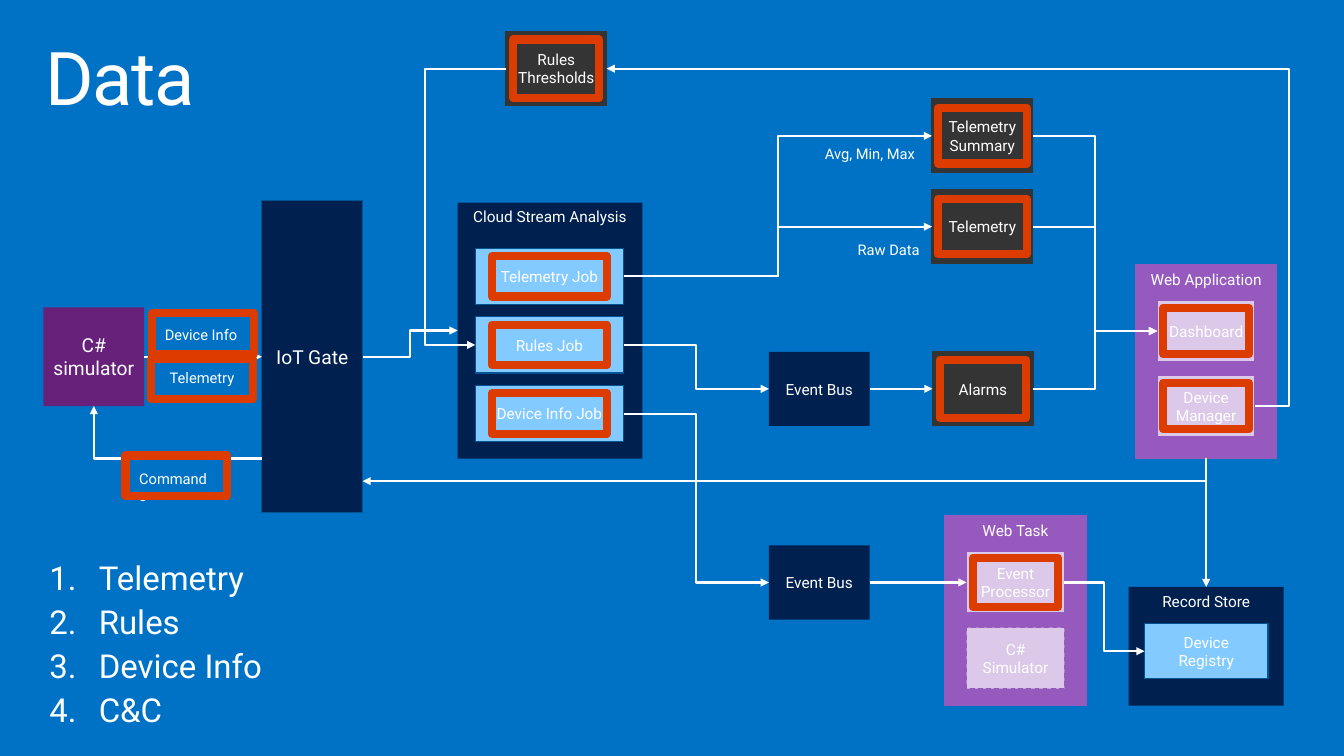
import pptx
import pptx.dml.color
import pptx.enum.dml
import pptx.enum.shapes
import pptx.enum.text
import pptx.oxml
import pptx.oxml.ns
import pptx.util
from lxml import etree

Pt = pptx.util.Pt
qn = pptx.oxml.ns.qn
ANCHOR = pptx.enum.text.MSO_ANCHOR
ALIGN = pptx.enum.text.PP_ALIGN
RECTANGLE = pptx.enum.shapes.MSO_SHAPE.RECTANGLE
CONNECTOR = pptx.enum.shapes.MSO_CONNECTOR

FONT = "Roboto"
COLORS = {
    "background": "0072C6", "white": "FFFFFF", "navy": "002050", "edge": "005492",
    "plum": "68217A", "sky": "82CAFF", "charcoal": "343434", "purple": "9659BE",
    "lilac": "DCC8E9", "highlight": "DC3C00",
}
TITLE = "Data"
TOPICS = ["Telemetry", "Rules", "Device Info", "C&C"]

MIDDLE, TOP_ANCHOR = ANCHOR.MIDDLE, ANCHOR.TOP
STYLES = {
    "device": ("plum", None, MIDDLE, 14, 4),
    "gateway": ("navy", "edge", MIDDLE, 14, 4),
    "service": ("navy", None, TOP_ANCHOR, 11.2, 8),
    "queue": ("navy", None, MIDDLE, 11.2, 8),
    "job": ("sky", "edge", MIDDLE, 11.2, 8),
    "storage": ("charcoal", "charcoal", MIDDLE, 11.2, 8),
    "app": ("purple", "purple", TOP_ANCHOR, 11.2, 8),
    "module": ("lilac", "purple", MIDDLE, 11.2, 8),
    "optional": ("lilac", "purple", MIDDLE, 11.2, 8),
}
JOB_LEFT, JOB_TOP, JOB_STEP = 346.3, 180.8, 50
JOBS = [("telemetry job", "Telemetry Job"), ("rules job", "Rules Job"),
        ("info job", "Device Info Job")]
BOXES = {
    "simulator": ("C# simulator", "device", 31.7, 223.9, 73.4, 72),
    "iot gate": ("IoT Gate", "gateway", 190.8, 146.2, 73.4, 227.4),
    "analysis": ("Cloud Stream Analysis", "service", 333.4, 147.6, 134.6, 186.5),
    **{key: (text, "job", JOB_LEFT, JOB_TOP + JOB_STEP * row, 108, 41)
       for row, (key, text) in enumerate(JOBS)},
    "alarm bus": ("Event Bus", "queue", 560.2, 256.3, 73.4, 54),
    "info bus": ("Event Bus", "queue", 560.2, 397.4, 73.4, 54),
    "thresholds": ("Rules Thresholds", "storage", 368.6, 23, 73.4, 54),
    "summary": ("Telemetry Summary", "storage", 679, 72, 73.4, 54),
    "telemetry": ("Telemetry", "storage", 679, 138.2, 73.4, 54),
    "alarms": ("Alarms", "storage", 679.4, 256.3, 73.4, 54),
    "web app": ("Web Application", "app", 827.3, 193, 103, 141.1),
    "dashboard": ("Dashboard", "module", 843.1, 218.9, 71.3, 44.6),
    "manager": ("Device Manager", "module", 843.1, 273.6, 71.3, 44.6),
    "web task": ("Web Task", "app", 688.3, 375.8, 103, 138.2),
    "processor": ("Event Processor", "module", 704.2, 402.1, 71.3, 44.6),
    "web simulator": ("C# Simulator", "optional", 704.2, 457.2, 71.3, 44.6),
    "record store": ("Record Store", "service", 822.3, 427.7, 113, 86.4),
    "registry": ("Device Registry", "job", 833.8, 454.3, 90, 40.3),
}

TOP, LEFT, BOTTOM, RIGHT = range(4)
FLOWS = [
    ("simulator", RIGHT, "iot gate", LEFT, 0.5),
    ("iot gate", RIGHT, "analysis", LEFT, 0.5),
    ("telemetry job", RIGHT, "telemetry", LEFT, 0.5),
    ("telemetry job", RIGHT, "summary", LEFT, 0.5),
    ("rules job", RIGHT, "alarm bus", LEFT, 0.5),
    ("info job", RIGHT, "info bus", LEFT, 0.5),
    ("alarm bus", RIGHT, "alarms", LEFT, 0.5),
    ("info bus", RIGHT, "processor", LEFT, 0.5),
    ("summary", RIGHT, "dashboard", LEFT, 0.5),
    ("telemetry", RIGHT, "dashboard", LEFT, 0.5),
    ("alarms", RIGHT, "dashboard", LEFT, 0.5),
    ("processor", RIGHT, "registry", LEFT, 0.5),
    ("web app", BOTTOM, "record store", TOP, 0.5),
    ("manager", RIGHT, "thresholds", RIGHT, -0.053),
    ("thresholds", LEFT, "rules job", LEFT, 2.653),
]
CORNER_FLOWS = [
    ((190.8, 334.1), "simulator", "tailEnd"),
    ((264.2, 350.6), "web app", "headEnd"),
]
LABELS = [
    ("Device Info", 113, 234, 67.7), ("Telemetry", 116.6, 265, 61.9),
    ("Commands", 94.3, 338.4, 68.4), ("Avg, Min, Max", 594, 102.2, 82.1),
    ("Raw Data", 617.8, 172.1, 59.8),
]
HIGHLIGHTED_BOXES = {
    (83.5, 29.5): ["telemetry job", "rules job", "info job"],
    (64.8, 40.3): ["summary", "telemetry"],
    (62.6, 42.5): ["thresholds", "alarms"],
    (62.6, 33.8): ["dashboard", "manager"],
    (61.9, 36): ["processor"],
}
HIGHLIGHTED_LABELS = [(110.9, 228.2), (110.2, 261.4), (91.4, 331.9)]
LABEL_HIGHLIGHT = (74.2, 29.5)


def rgb(name):
    return pptx.dml.color.RGBColor.from_string(COLORS[name])


def format_runs(paragraph, size):
    for run in paragraph.runs:
        run.font.name = FONT
        run.font.size = Pt(size)
        run.font.color.rgb = rgb("white")


def place(shape, left, top, width, height):
    shape.left, shape.top = Pt(left), Pt(top)
    shape.width, shape.height = Pt(width), Pt(height)


def set_margins(frame, side, edge):
    frame.margin_left = frame.margin_right = Pt(side)
    frame.margin_top = frame.margin_bottom = Pt(edge)


def add_rectangle(slide, bounds, fill, line, width):
    rectangle = slide.shapes.add_shape(RECTANGLE, *map(Pt, bounds))
    rectangle.shadow.inherit = False
    if fill:
        rectangle.fill.solid()
        rectangle.fill.fore_color.rgb = rgb(fill)
    else:
        rectangle.fill.background()
    if line:
        rectangle.line.color.rgb = rgb(line)
        rectangle.line.width = Pt(width)
    else:
        rectangle.line.fill.background()
    return rectangle


def add_box(slide, text, style, *bounds):
    fill, line, anchor, size, margin = STYLES[style]
    box = add_rectangle(slide, bounds, fill, line, 0.85)
    if style == "optional":
        box.line.dash_style = pptx.enum.dml.MSO_LINE.DASH
    frame = box.text_frame
    frame.text = text
    frame.word_wrap = True
    frame.vertical_anchor = anchor
    set_margins(frame, margin, 3.6)
    frame.paragraphs[0].alignment = ALIGN.CENTER
    format_runs(frame.paragraphs[0], size)
    return box


def side_point(key, side):
    left, top, width, height = BOXES[key][2:]
    across, down = [(0.5, 0), (0, 0.5), (0.5, 1), (1, 0.5)][side]
    return left + width * across, top + height * down


def add_arrow(slide, kind, start, end, arrowhead="tailEnd"):
    arrow = slide.shapes.add_connector(kind, *map(Pt, start + end))
    arrow.line.color.rgb = rgb("white")
    arrow.line.width = Pt(1.5)
    properties = arrow._element.spPr
    etree.SubElement(properties.find(qn("a:ln")), qn("a:" + arrowhead), type="triangle")
    etree.SubElement(properties, qn("a:effectLst"))
    return arrow, properties.find(qn("a:prstGeom"))


def add_flow(slide, boxes, source, source_side, target, target_side, bend):
    start, end = side_point(source, source_side), side_point(target, target_side)
    straight = min(abs(a - b) for a, b in zip(start, end)) < 0.1
    kind = CONNECTOR.STRAIGHT if straight else CONNECTOR.ELBOW
    arrow, geometry = add_arrow(slide, kind, start, end)
    arrow.begin_connect(boxes[source], source_side)
    arrow.end_connect(boxes[target], target_side)
    if bend != 0.5:
        etree.SubElement(geometry.find(qn("a:avLst")), qn("a:gd"),
                         name="adj1", fmla=f"val {round(bend * 100000)}")


def add_heading(slide):
    title = slide.shapes.title
    place(title, 21.6, 23, 936, 72)
    frame = title.text_frame
    frame.text = TITLE
    frame.vertical_anchor = ANCHOR.TOP
    frame.auto_size = pptx.enum.text.MSO_AUTO_SIZE.NONE
    set_margins(frame, 11.5, 7.2)
    heading = frame.paragraphs[0]
    heading.alignment = ALIGN.LEFT
    heading.line_spacing = 0.9
    format_runs(heading, 54)
    heading.runs[0]._r.get_or_add_rPr().set("spc", "-100")


def add_topics(slide):
    topics = slide.placeholders[1]
    place(topics, 21.6, 398.2, 185, 146.2)
    frame = topics.text_frame
    frame.text = "\n".join(TOPICS)
    frame.word_wrap = False
    frame.auto_size = pptx.enum.text.MSO_AUTO_SIZE.NONE
    set_margins(frame, 14.4, 11.5)
    for topic in frame.paragraphs:
        properties = topic._p.get_or_add_pPr()
        properties.set("marL", str(Pt(36)))
        properties.set("indent", str(-Pt(36)))
        etree.SubElement(properties, qn("a:buFont"), typeface=FONT)
        etree.SubElement(properties, qn("a:buAutoNum"), type="arabicPeriod")
        topic.line_spacing = 0.9
        topic.space_before, topic.space_after = Pt(0), Pt(6)
        format_runs(topic, 24)


def main():
    deck = pptx.Presentation()
    deck.slide_width, deck.slide_height = Pt(979.2), Pt(550.8)
    slide = deck.slides.add_slide(deck.slide_layouts[1])
    slide.background.fill.solid()
    slide.background.fill.fore_color.rgb = rgb("background")
    add_heading(slide)
    add_topics(slide)
    boxes = {key: add_box(slide, *box) for key, box in BOXES.items()}
    for flow in FLOWS:
        add_flow(slide, boxes, *flow)
    for start, target, arrowhead in CORNER_FLOWS:
        arrow, geometry = add_arrow(slide, CONNECTOR.ELBOW, start,
                                    side_point(target, BOTTOM), arrowhead)
        geometry.set("prst", "bentConnector2")
        arrow.end_connect(boxes[target], BOTTOM)
    for text, left, top, width in LABELS:
        label = slide.shapes.add_textbox(Pt(left), Pt(top), Pt(width), Pt(20.2))
        label.text_frame.text = text
        label.text_frame.word_wrap = False
        format_runs(label.text_frame.paragraphs[0], 10.7)
    highlights = [(*corner, *LABEL_HIGHLIGHT) for corner in HIGHLIGHTED_LABELS]
    for (width, height), keys in HIGHLIGHTED_BOXES.items():
        for key in keys:
            center, middle = side_point(key, TOP)[0], side_point(key, LEFT)[1]
            highlights.append((center - width / 2, middle - height / 2, width, height))
    for bounds in highlights:
        add_rectangle(slide, bounds, None, "highlight", 6)
    deck.save("out.pptx")


if __name__ == "__main__":
    main()
